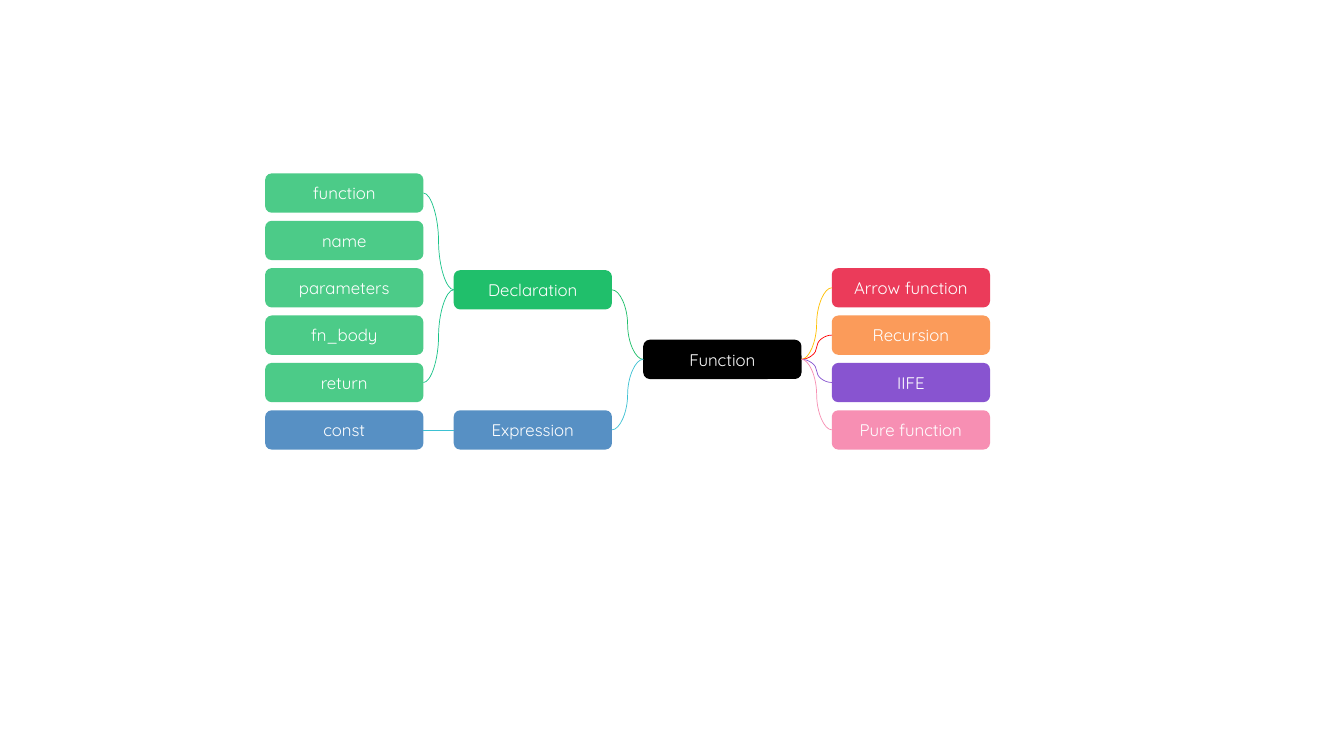
from dataclasses import dataclass

from lxml import etree
from pptx import Presentation
from pptx.dml.color import RGBColor
from pptx.enum.shapes import MSO_CONNECTOR, MSO_SHAPE
from pptx.enum.text import MSO_ANCHOR, PP_ALIGN
from pptx.oxml.ns import qn
from pptx.util import Inches, Pt

ROUNDED = MSO_SHAPE.ROUNDED_RECTANGLE
CURVE = MSO_CONNECTOR.CURVE
STRAIGHT = MSO_CONNECTOR.STRAIGHT
MIDDLE = MSO_ANCHOR.MIDDLE
CENTER = PP_ALIGN.CENTER
LEFT_SITE, RIGHT_SITE = 1, 3


@dataclass(frozen=True)
class Theme:
    font: str = "Quicksand"
    label_size: int = 12
    line_width: float = 0.5
    tint: int = 80
    white: str = "FFFFFF"
    black: str = "000000"
    red: str = "EB3B5A"
    orange: str = "FA8231"
    purple: str = "8854D0"
    pink: str = "F78FB3"
    green: str = "20BF6B"
    blue: str = "2E75B6"
    teal: str = "1AC388"
    cyan: str = "3DC1D3"
    yellow: str = "FFC000"
    bright_red: str = "FF0000"


THEME = Theme()
NODE_WIDTH, NODE_HEIGHT = 1.57, 0.39
PARTS_X, BRANCH_X, ROOT_X, KINDS_X = 2.63, 4.5, 6.38, 8.25
FIRST_ROW, ROW_STEP = 1.72, 0.47
ROOT_TOP, DECLARATION_TOP = 3.37, 2.68


def row_top(row):
    return FIRST_ROW + row * ROW_STEP


def set_formats(target, formats):
    for attribute, value in formats.items():
        setattr(target, attribute, value)


def add_node(slide, label, left, top, color, opacity=100):
    node = slide.shapes.add_shape(
        ROUNDED, Inches(left), Inches(top), Inches(NODE_WIDTH), Inches(NODE_HEIGHT)
    )
    node.shadow.inherit = False
    node.line.fill.background()
    node.fill.solid()
    node.fill.fore_color.rgb = RGBColor.from_string(color)
    if opacity < 100:
        fill_color = node.fill._xPr.find(qn("a:solidFill"))[0]
        etree.SubElement(fill_color, qn("a:alpha"), val=str(opacity * 1000))

    set_formats(node.text_frame, {"word_wrap": True, "vertical_anchor": MIDDLE})
    paragraph = node.text_frame.paragraphs[0]
    paragraph.alignment = CENTER
    run = paragraph.add_run()
    run.text = label
    set_formats(run.font, {"name": THEME.font, "size": Pt(THEME.label_size)})
    run.font.color.rgb = RGBColor.from_string(THEME.white)
    return node


def add_link(slide, left_node, right_node, color, style=CURVE):
    link = slide.shapes.add_connector(style, 0, 0, 0, 0)
    link.begin_connect(left_node, RIGHT_SITE)
    link.end_connect(right_node, LEFT_SITE)
    link.line.width = Pt(THEME.line_width)
    link.line.color.rgb = RGBColor.from_string(color)
    etree.SubElement(link._element.spPr, qn("a:effectLst"))


def add_kinds(slide, root):
    kinds = [
        ("Arrow function", THEME.red, 100, THEME.yellow),
        ("Recursion", THEME.orange, THEME.tint, THEME.bright_red),
        ("IIFE", THEME.purple, 100, THEME.purple),
        ("Pure function", THEME.pink, 100, THEME.pink),
    ]
    for row, (label, color, opacity, link_color) in enumerate(kinds, start=2):
        kind = add_node(slide, label, KINDS_X, row_top(row), color, opacity)
        add_link(slide, root, kind, link_color)


def add_declaration(slide, root):
    declaration = add_node(
        slide, "Declaration", BRANCH_X, DECLARATION_TOP, THEME.green
    )
    add_link(slide, declaration, root, THEME.green)
    labels = ["function", "name", "parameters", "fn_body", "return"]
    parts = [
        add_node(slide, label, PARTS_X, row_top(row), THEME.green, THEME.tint)
        for row, label in enumerate(labels)
    ]
    for part in (parts[0], parts[-1]):
        add_link(slide, part, declaration, THEME.teal)


def add_expression(slide, root):
    expression, const = [
        add_node(slide, label, left, row_top(5), THEME.blue, THEME.tint)
        for label, left in (("Expression", BRANCH_X), ("const", PARTS_X))
    ]
    add_link(slide, expression, root, THEME.cyan)
    add_link(slide, const, expression, THEME.cyan, STRAIGHT)


def main():
    presentation = Presentation()
    presentation.slide_width = Inches(13.33)
    presentation.slide_height = Inches(7.5)
    slide = presentation.slides.add_slide(presentation.slide_layouts[6])
    root = add_node(slide, "Function", ROOT_X, ROOT_TOP, THEME.black)
    add_kinds(slide, root)
    add_declaration(slide, root)
    add_expression(slide, root)
    presentation.save("out.pptx")


if __name__ == "__main__":
    main()
